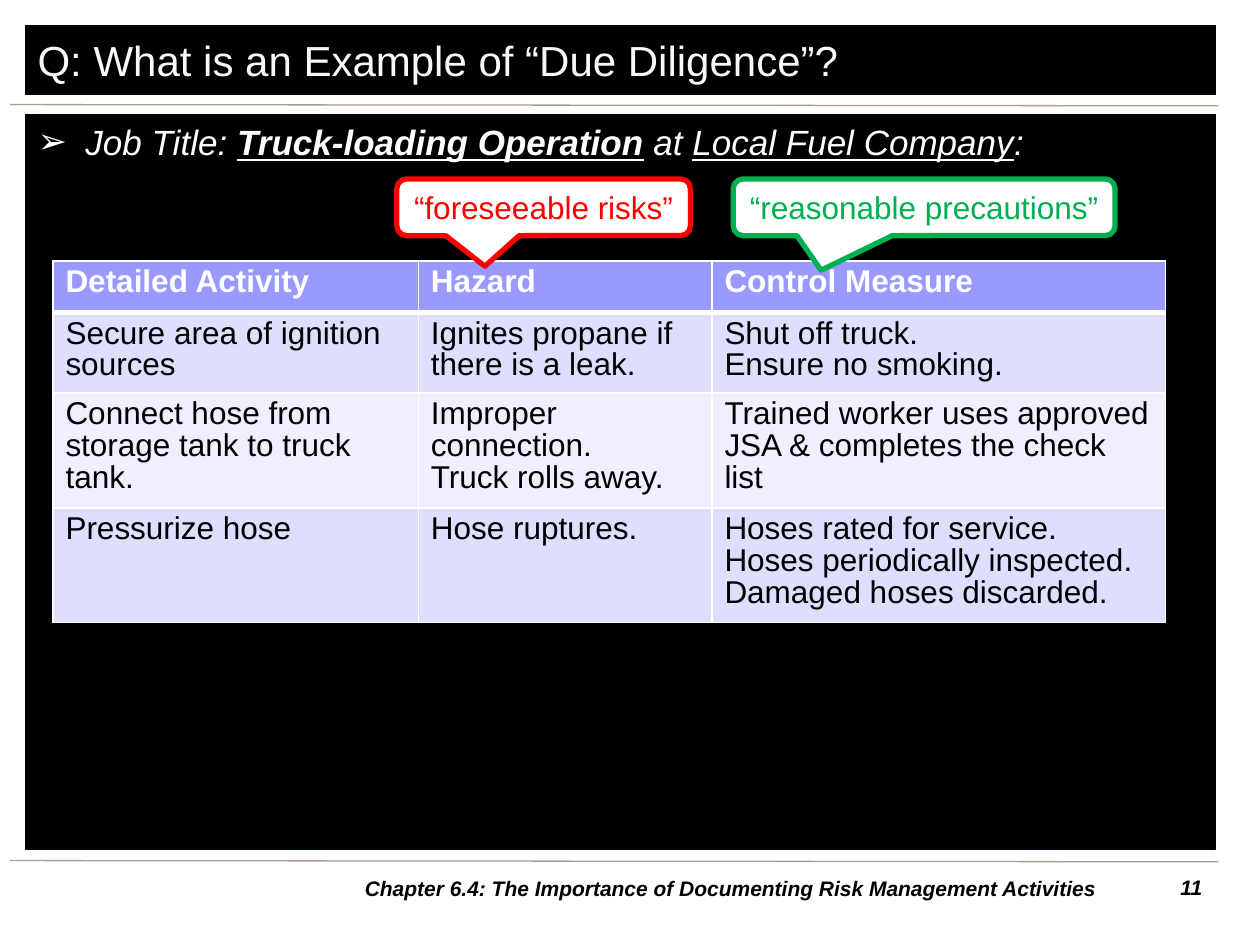
from lxml import etree
from pptx import Presentation
from pptx.dml.color import RGBColor
from pptx.enum import shapes, text
from pptx.oxml import ns
from pptx.util import Inches, Pt

FONT = "Arial"
LEFT, WIDTH = 0.2, 9.45
ROWS = [
    ["Detailed Activity", "Hazard", "Control Measure"],
    ["Secure area of ignition sources", "Ignites propane if there is a leak.",
     "Shut off truck.\nEnsure no smoking."],
    ["Connect hose from storage tank to truck tank.",
     "Improper connection.\nTruck rolls away.",
     "Trained worker uses approved JSA & completes the check list"],
    ["Pressurize hose", "Hose ruptures.",
     "Hoses rated for service.\n"
     "Hoses periodically inspected. Damaged hoses discarded."],
]
COLUMN_WIDTHS = [2.9, 2.33, 3.6]
ROW_HEIGHTS = [0.41, 0.6, 0.86, 0.86]
ROW_FILLS = ["9999FF", "DEDEFF", "EFEFFF", "DEDEFF"]


def color(value):
    return RGBColor.from_string(value)


def add_run(paragraph, content, size, hex_color, **formats):
    run = paragraph.add_run()
    run.text = content
    run.font.color.rgb = color(hex_color)
    for name, value in {"name": FONT, "size": Pt(size), **formats}.items():
        setattr(run.font, name, value)


def prepare_frame(frame, anchor, align):
    """Set wrapping and alignment, and return the first paragraph."""
    frame.word_wrap = True
    frame.vertical_anchor = anchor
    paragraph = frame.paragraphs[0]
    paragraph.alignment = align
    return paragraph


def add_box(slide, kind, bounds, fill, line, line_width,
            anchor=text.MSO_ANCHOR.MIDDLE, align=text.PP_ALIGN.LEFT):
    shape = slide.shapes.add_shape(kind, *map(Inches, bounds))
    shape.shadow.inherit = False
    shape.fill.solid()
    shape.fill.fore_color.rgb = color(fill)
    shape.line.color.rgb = color(line)
    shape.line.width = Pt(line_width)
    return shape, prepare_frame(shape.text_frame, anchor, align)


def add_panel(slide, top, height, anchor):
    return add_box(slide, shapes.MSO_SHAPE.RECTANGLE, (LEFT, top, WIDTH, height),
                   "000000", "000000", 0.75, anchor)[1]


def add_callout(slide, left, width, tip, hex_color, content):
    callout, paragraph = add_box(
        slide, shapes.MSO_SHAPE.ROUNDED_RECTANGULAR_CALLOUT,
        (left, 1.42, width, 0.45), "FFFFFF", hex_color, 3,
        align=text.PP_ALIGN.CENTER)
    for index, value in enumerate(tip):
        callout.adjustments[index] = value
    add_run(paragraph, content, 18, hex_color)


def add_rule(slide, top):
    line = slide.shapes.add_connector(
        shapes.MSO_CONNECTOR.STRAIGHT, Inches(0.08), Inches(top),
        Inches(9.67), Inches(top + 0.01))
    line.line.color.rgb = color("AA9C8F")
    line.line.width = Pt(0.75)
    etree.SubElement(line._element.spPr, ns.qn("a:effectLst"))


def add_footer(slide, left, width, anchor, align, content):
    box = slide.shapes.add_textbox(*map(Inches, (left, 6.89, width, 0.31)))
    paragraph = prepare_frame(box.text_frame, anchor, align)
    add_run(paragraph, content, 12, "000000", bold=True, italic=True)


def add_bullet(paragraph, character, indent):
    properties = paragraph._p.get_or_add_pPr()
    properties.set("marL", str(Inches(indent)))
    properties.set("indent", str(-Inches(indent)))
    etree.SubElement(properties, ns.qn("a:buFont"), typeface=FONT)
    etree.SubElement(properties, ns.qn("a:buChar"), char=character)


def set_borders(cell, widths):
    properties = cell._tc.get_or_add_tcPr()
    for side, width in widths.items():
        line = etree.SubElement(properties, ns.qn(f"a:ln{side}"), w=str(Pt(width)))
        fill = etree.SubElement(line, ns.qn("a:solidFill"))
        etree.SubElement(fill, ns.qn("a:srgbClr"), val="FFFFFF")


def fill_cell(cell, content, row_index):
    header = row_index == 0
    set_borders(cell, {"L": 1, "R": 1, "T": 3 if row_index == 1 else 1,
                       "B": 3 if header else 1})
    cell.fill.solid()
    cell.fill.fore_color.rgb = color(ROW_FILLS[row_index])
    frame = cell.text_frame
    for index, line in enumerate(content.split("\n")):
        paragraph = frame.add_paragraph() if index else frame.paragraphs[0]
        paragraph.line_spacing = 0.9
        add_run(paragraph, line, 18, "FFFFFF" if header else "000000", bold=header)


def add_activity_table(slide):
    bounds = (0.42, 2.07, sum(COLUMN_WIDTHS), sum(ROW_HEIGHTS))
    table = slide.shapes.add_table(
        len(ROWS), len(COLUMN_WIDTHS), *map(Inches, bounds)).table
    for column, width in zip(table.columns, COLUMN_WIDTHS):
        column.width = Inches(width)
    for row_index, (row, height) in enumerate(zip(table.rows, ROW_HEIGHTS)):
        row.height = Inches(height)
        for cell, content in zip(row.cells, ROWS[row_index]):
            fill_cell(cell, content, row_index)


def main():
    presentation = Presentation()
    presentation.slide_width, presentation.slide_height = Inches(10), Inches(7.5)
    slide = presentation.slides.add_slide(presentation.slide_layouts[6])
    for top in (0.83, 6.83):
        add_rule(slide, top)

    title = add_panel(slide, 0.2, 0.55, text.MSO_ANCHOR.MIDDLE)
    add_run(title, "Q: What is an Example of “Due Diligence”?", 24, "F8F8F8")

    job = add_panel(slide, 0.91, 5.83, text.MSO_ANCHOR.TOP)
    add_bullet(job, "➢", 0.38)
    for content, formats in [
        ("Job Title: ", {}),
        ("Truck-loading Operation", {"bold": True, "underline": True}),
        (" at ", {}),
        ("Local Fuel Company", {"underline": True}),
        (":", {}),
    ]:
        add_run(job, content, 20, "FFFFFF", italic=True, **formats)

    add_footer(slide, 9.06, 0.58, text.MSO_ANCHOR.TOP, text.PP_ALIGN.RIGHT, "11")
    add_activity_table(slide)
    add_callout(slide, 5.82, 3.03, (-0.27, 1.11, 0.17), "00B050",
                "“reasonable precautions”")
    add_callout(slide, 3.15, 2.33, (-0.2, 1.04, 0.17), "FF0000",
                "“foreseeable risks”")
    add_footer(slide, 2.75, 6.1, text.MSO_ANCHOR.MIDDLE, text.PP_ALIGN.CENTER,
               "Chapter 6.4: The Importance of Documenting Risk Management Activities")
    presentation.save("out.pptx")


if __name__ == "__main__":
    main()
